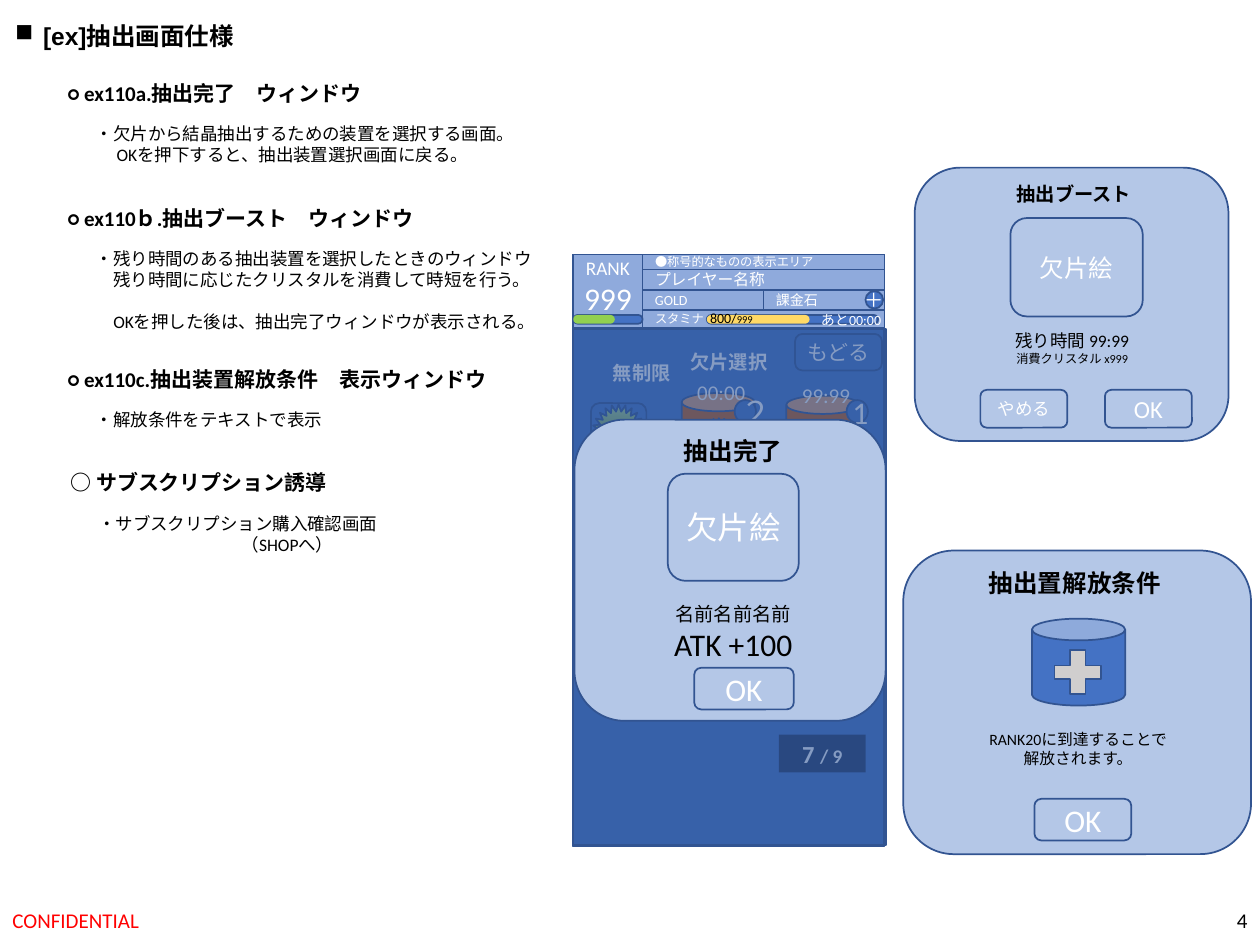
import pptx
import pptx.dml.color
import pptx.enum.shapes
import pptx.enum.text
import pptx.oxml.ns
import pptx.util
from lxml import etree

Pt = pptx.util.Pt
RGBColor = pptx.dml.color.RGBColor
MSO_SHAPE = pptx.enum.shapes.MSO_SHAPE
ALIGN = pptx.enum.text.PP_ALIGN
ANCHOR = pptx.enum.text.MSO_ANCHOR
qn = pptx.oxml.ns.qn

BLACK = RGBColor(0x00, 0x00, 0x00)
WHITE = RGBColor(0xFF, 0xFF, 0xFF)
RED = RGBColor(0xFF, 0x00, 0x00)
BLUE = RGBColor(0x44, 0x72, 0xC4)
OUTLINE = RGBColor(0x32, 0x54, 0x91)
HEADER = RGBColor(0x8F, 0xAA, 0xDC)
PANEL = RGBColor(0xB4, 0xC7, 0xE7)
VEIL = RGBColor(0x2F, 0x55, 0x97)
GRAY = RGBColor(0xD0, 0xCE, 0xCE)
GREEN = RGBColor(0x92, 0xD0, 0x50)
YELLOW = RGBColor(0xFF, 0xD9, 0x66)
BROWN = RGBColor(0xC5, 0x5A, 0x11)
STAR_DARK = RGBColor(0x4B, 0x74, 0x30)
STAR_LIGHT = RGBColor(0xA9, 0xD1, 0x8E)

ROUND = MSO_SHAPE.ROUNDED_RECTANGLE
RECT = MSO_SHAPE.RECTANGLE

# Heading, list lines, left, heading top, list indent and space above the last line
SECTIONS = [
    ("○ ex110a.抽出完了　ウィンドウ",
     ["・欠片から結晶抽出するための装置を選択する画面。",
      "OKを押下すると、抽出装置選択画面に戻る。"], 31.7, 42.5, 12, 0),
    ("○ ex110ｂ.抽出ブースト　ウィンドウ",
     ["・残り時間のある抽出装置を選択したときのウィンドウ",
      "残り時間に応じたクリスタルを消費して時短を行う。",
      "OKを押した後は、抽出完了ウィンドウが表示される。"], 31.7, 113.8, 10, 12),
    ("○ ex110c.抽出装置解放条件　表示ウィンドウ",
     ["・解放条件をテキストで表示"], 31.7, 205.9, 0, 0),
    ("○ サブスクリプション誘導",
     ["・サブスクリプション購入確認画面", "（SHOPへ）"], 33.1, 265, 82, 0),
]


def place(shape, left, top, width, height):
    shape.left, shape.top = Pt(left), Pt(top)
    shape.width, shape.height = Pt(width), Pt(height)


def write(shape, lines, size=10, color=BLACK, bold=False, font="Calibri",
          align=ALIGN.LEFT, anchor=ANCHOR.TOP, wrap=True):
    """Fill a shape; a line is a string or a list of (text, size) spans."""
    frame = shape.text_frame
    frame.word_wrap = wrap
    frame.vertical_anchor = anchor
    frame.auto_size = pptx.enum.text.MSO_AUTO_SIZE.NONE
    for index, line in enumerate([lines] if isinstance(lines, str) else lines):
        para = frame.paragraphs[0] if index == 0 else frame.add_paragraph()
        para.alignment = align
        para.space_before = Pt(0)
        for text, span_size in [(line, size)] if isinstance(line, str) else line:
            span = para.add_run()
            span.text = text
            span.font.name, span.font.size = font, Pt(span_size)
            span.font.bold, span.font.color.rgb = bold, color
    return shape


def add_label(parent, box, lines, **text_format):
    return write(parent.add_textbox(*map(Pt, box)), lines, **text_format)


def add_figure(parent, kind, box, fill, lines=None, outline=True, adjust=None,
               alpha=None, **text_format):
    shape = parent.add_shape(kind, *map(Pt, box))
    shape.shadow.inherit = False
    shape.fill.solid()
    shape.fill.fore_color.rgb = fill
    if alpha is not None:
        color = shape.fill._xPr.find(".//" + qn("a:srgbClr"))
        etree.SubElement(color, qn("a:alpha"), val=str(alpha * 1000))
    if outline:
        shape.line.color.rgb = OUTLINE
        shape.line.width = Pt(1)
    else:
        shape.line.fill.background()
    if adjust is not None:
        shape.adjustments[0] = adjust
    if lines:
        style = dict(color=WHITE, align=ALIGN.CENTER, anchor=ANCHOR.MIDDLE)
        write(shape, lines, **{**style, **text_format})
    return shape


def add_star(parent, box):
    star = add_figure(parent, MSO_SHAPE.STAR_24_POINT, box, STAR_DARK)
    star.fill.gradient()
    star.fill.gradient_angle = 90
    for stop, color in zip(star.fill.gradient_stops, (STAR_DARK, STAR_LIGHT)):
        stop.color.rgb = color


def add_gauge(parent, left, width, color):
    """A rounded track filled to 60 percent."""
    for part, fill, outline in ((1, BLUE, True), (0.6, color, False)):
        add_figure(parent, ROUND, (left, 180, width * part, 5), fill,
                   outline=outline, adjust=0.5)


def set_indent(para, margin, hanging=0, bullet=None):
    properties = para._p.get_or_add_pPr()
    properties.set("marL", str(Pt(margin)))
    properties.set("indent", str(-Pt(hanging)))
    if bullet:
        etree.SubElement(properties, qn("a:buChar"), char=bullet)
    else:
        etree.SubElement(properties, qn("a:buNone"))


def add_outline_text(page):
    title, *bodies = list(page.placeholders)[:5]
    place(title, 1.4, 8.6, 180, 24.5)
    write(title, "[ex]抽出画面仕様", size=14, bold=True, font="Arial", wrap=False)
    set_indent(title.text_frame.paragraphs[0], 16, 16, "■")
    for body, (heading, lines, left, top, indent, gap) in zip(bodies, SECTIONS):
        add_label(page.shapes, (left, top, 300, 21.6), heading,
                  size=12, bold=True, wrap=False)
        place(body, left + 15.8, top + 24.4, 300, 12 * len(lines) + gap + 8)
        write(body, lines, wrap=False)
        paras = body.text_frame.paragraphs
        for index, para in enumerate(paras):
            set_indent(para, indent if index else 0)
        if gap:
            paras[-1].space_before = Pt(gap)


def add_release_window(shapes):
    add_figure(shapes, ROUND, (516.2, 314.6, 198.7, 173.5), PANEL)
    add_label(shapes, (558, 321.1, 121, 24.5), "抽出置解放条件", size=14, bold=True)
    add_label(shapes, (538.6, 413.3, 154.8, 28.8),
              ["RANK20に到達することで", "解放されます。"], size=9, align=ALIGN.CENTER)
    add_figure(shapes, ROUND, (591.1, 456.5, 55.4, 23.8), PANEL, "OK", size=18)
    add_figure(shapes, MSO_SHAPE.CAN, (589.7, 353.5, 53.3, 49.7), BLUE)
    add_figure(shapes, MSO_SHAPE.CROSS, (602.6, 371.5, 26.6, 25.2), GRAY, adjust=0.35)


def add_boost_window(shapes):
    add_figure(shapes, ROUND, (522.7, 95.8, 179.3, 156.2), PANEL)
    add_figure(shapes, ROUND, (577.4, 124.6, 75.6, 56.2), PANEL, "欠片絵", size=14)
    add_label(shapes, (573.8, 100.8, 95.8, 20.9), "抽出ブースト", size=11, bold=True)
    add_label(shapes, (561.6, 185, 102.2, 28.1),
              ["残り時間 99:99", [("消費クリスタル x999", 7)]], align=ALIGN.CENTER)
    for left, text, size in ((560.2, "やめる", 10), (631.4, "OK", 14)):
        add_figure(shapes, ROUND, (left, 222.8, 49.7, 21.6), PANEL, text, size=size)


def add_status_header(shapes):
    rank = add_figure(shapes, RECT, (327.6, 145.4, 39.6, 41.8), HEADER,
                      ["RANK", [("999", 18)]], size=11, anchor=ANCHOR.TOP)
    frame = rank.text_frame
    frame.margin_left = frame.margin_right = 0
    frame.margin_top = Pt(1)
    cells = [(367.2, 145.4, 138.2, 8.6, "●称号的なものの表示エリア", 7),
             (367.2, 154.1, 138.2, 11.5, "プレイヤー名称", 9),
             (367.2, 165.6, 69.1, 11.5, "GOLD", 8),
             (436.3, 165.6, 69.1, 11.5, "課金石", 8),
             (367.2, 177.1, 138.2, 10.1, "スタミナ", 7)]
    for *box, text, size in cells:
        add_figure(shapes, RECT, box, HEADER, text, size=size, align=ALIGN.LEFT)
    add_figure(shapes, MSO_SHAPE.OVAL, (494.6, 166.3, 10.1, 10.1), BLUE, "＋",
               size=11, wrap=False)
    add_gauge(shapes, 327.6, 39.6, GREEN)
    add_gauge(shapes, 403.9, 97.9, YELLOW)
    centered = dict(size=8, align=ALIGN.CENTER, anchor=ANCHOR.MIDDLE, wrap=False)
    add_label(shapes, (403.2, 176.4, 29.5, 10.1), [[("800/", 8), ("999", 6)]], **centered)
    add_label(shapes, (471.6, 177.8, 29.5, 10.1), "あと00:00", color=WHITE, **centered)


def add_game_screen(shapes):
    screen = add_figure(shapes, RECT, (327.6, 145.4, 177.8, 338.4), BLUE, "欠片選択",
                        size=11, bold=True, font="Noto Sans CJK JP", anchor=ANCHOR.TOP)
    screen.text_frame.margin_top = Pt(55)
    add_status_header(shapes)
    add_figure(shapes, ROUND, (454.3, 190.8, 49.7, 20.9), BLUE, "もどる",
               size=12, adjust=0.2, wrap=False)
    add_figure(shapes, RECT, (445, 419.8, 49.7, 21.6), BLACK, [[("7 ", 14), ("/ 9", 11)]],
               outline=False, alpha=50, bold=True, wrap=False)

    # Extraction devices
    centered = dict(color=WHITE, align=ALIGN.CENTER, anchor=ANCHOR.MIDDLE, wrap=False)
    add_figure(shapes, ROUND, (337.7, 230.4, 31.7, 33.8), BLUE, adjust=0.15)
    add_star(shapes, (338.4, 231.1, 30.2, 32.4))
    devices = ((449.3, 226.1, "99:99", 483.8, "1"), (389.5, 224.6, "00:00", 419.8, "２"))
    for left, top, time, count_left, count in devices:
        add_figure(shapes, MSO_SHAPE.CAN, (left, top, 41.8, 41.8), BROWN)
        add_label(shapes, (left + 2.9, top - 10.4, 39.6, 20.2), time, size=12, **centered)
        add_star(shapes, (left + 9.4, top + 14.4, 23.8, 23))
        add_figure(shapes, MSO_SHAPE.OVAL, (count_left, 228.6, 12.2, 13), BLUE,
                   count, size=18)
    add_label(shapes, (355.7, 204.5, 22.3, 17.3), "無制限", size=11, bold=True, **centered)

    # Dimming layer and completion window
    add_figure(shapes, RECT, (327.6, 187.9, 178.6, 295.2), VEIL, alpha=58)
    add_figure(shapes, ROUND, (328.3, 239.8, 177.8, 172.1), PANEL)
    add_figure(shapes, ROUND, (381.6, 270.7, 74.9, 61.2), PANEL, "欠片絵", size=18)
    add_label(shapes, (342, 340.6, 154.1, 42.5), ["名前名前名前", [("ATK +100", 18)]],
              size=11, align=ALIGN.CENTER)
    add_figure(shapes, ROUND, (396.7, 381.6, 56.9, 23.8), PANEL, "OK", size=18)
    add_label(shapes, (358.4, 245.5, 121, 24.5), "抽出完了", size=14, bold=True,
              align=ALIGN.CENTER)


def main():
    deck = pptx.Presentation()
    deck.slide_width, deck.slide_height = Pt(720), Pt(540)
    page = deck.slides.add_slide(deck.slide_layouts.get_by_name("Comparison"))
    # Footer
    add_label(page.shapes, (558, 511.2, 162, 28.8), "4", size=12,
              align=ALIGN.RIGHT, anchor=ANCHOR.MIDDLE)
    add_label(page.shapes, (0, 511.2, 243.4, 28.8), "CONFIDENTIAL", size=12,
              color=RED, anchor=ANCHOR.MIDDLE)
    # Specification text and screen mock-ups
    add_outline_text(page)
    add_release_window(page.shapes)
    add_boost_window(page.shapes.add_group_shape().shapes)
    add_game_screen(page.shapes.add_group_shape().shapes)
    deck.save("out.pptx")


if __name__ == "__main__":
    main()
